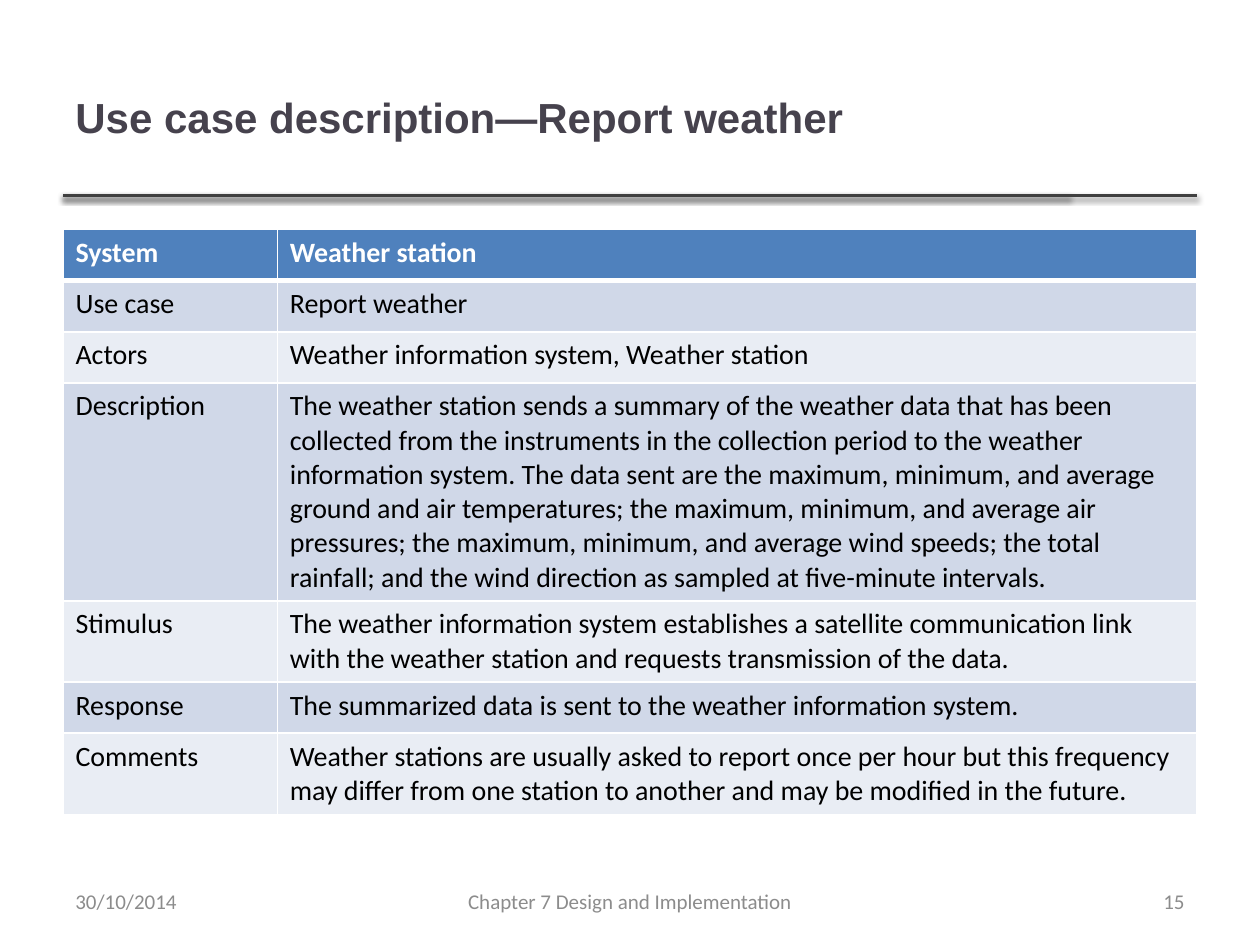
from dataclasses import dataclass

import pptx
import pptx.dml.color
import pptx.enum.shapes
import pptx.enum.text
import pptx.oxml
import pptx.oxml.ns
import pptx.util

Cm = pptx.util.Cm
Pt = pptx.util.Pt
RGBColor = pptx.dml.color.RGBColor
Align = pptx.enum.text.PP_ALIGN
Anchor = pptx.enum.text.MSO_ANCHOR

WHITE = RGBColor(0xFF, 0xFF, 0xFF)
BLACK = RGBColor(0, 0, 0)
TITLE_COLOR = RGBColor(0x46, 0x42, 0x4D)
RULE_COLOR = RGBColor(0x40, 0x40, 0x40)
FOOTER_COLOR = RGBColor(0x8C, 0x8C, 0x8C)
HEADER_FILL = RGBColor(0x4F, 0x81, 0xBD)
BAND_FILLS = (RGBColor(0xE9, 0xED, 0xF4), RGBColor(0xD0, 0xD8, 0xE8))

LEFT = 1.27
CONTENT_WIDTH = 22.86
ROW_HEIGHT = 1.03
COLUMN_WIDTHS = (4.32, 18.54)
FOOTER_TOP = 17.65
FOOTER_HEIGHT = 1.02
NS = pptx.oxml.ns.nsdecls("a")

ROWS = (
    ("System", "Weather station"),
    ("Use case", "Report weather"),
    ("Actors", "Weather information system, Weather station"),
    ("Description",
     "The weather station sends a summary of the weather data that has been "
     "collected from the instruments in the collection period to the weather "
     "information system. The data sent are the maximum, minimum, and average "
     "ground and air temperatures; the maximum, minimum, and average air "
     "pressures; the maximum, minimum, and average wind speeds; the total "
     "rainfall; and the wind direction as sampled at five-minute intervals."),
    ("Stimulus",
     "The weather information system establishes a satellite communication link "
     "with the weather station and requests transmission of the data."),
    ("Response", "The summarized data is sent to the weather information system."),
    ("Comments",
     "Weather stations are usually asked to report once per hour but this frequency "
     "may differ from one station to another and may be modified in the future."),
)


@dataclass(frozen=True)
class Style:
    font: str
    size: int
    color: RGBColor
    bold: bool = False


@dataclass(frozen=True)
class Label:
    text: str
    left: float
    top: float
    width: float
    height: float
    style: Style
    align: Align = Align.LEFT


TITLE = Style("Arial", 24, TITLE_COLOR, True)
HEADER = Style("Calibri", 16, WHITE, True)
BODY = Style("Calibri", 16, BLACK)
FOOTER = Style("Calibri", 12, FOOTER_COLOR)

LABELS = (
    Label("Use case description—Report weather", LEFT, 0.76, 20.27, 3.18, TITLE),
    Label("Chapter 7 Design and Implementation", 8.68, FOOTER_TOP, 8.04,
          FOOTER_HEIGHT, FOOTER, Align.CENTER),
    Label("15", 18.2, FOOTER_TOP, 5.93, FOOTER_HEIGHT, FOOTER, Align.RIGHT),
    Label("30/10/2014", LEFT, FOOTER_TOP, 5.93, FOOTER_HEIGHT, FOOTER),
)


def set_text(tf, text: str, style: Style, align: Align = Align.LEFT) -> None:
    p = tf.paragraphs[0]
    p.text = text
    p.alignment = align
    p.font.name = style.font
    p.font.size = Pt(style.size)
    p.font.bold = style.bold
    p.font.color.rgb = style.color


def add_label(s, label: Label) -> None:
    sp = s.shapes.add_textbox(Cm(label.left), Cm(label.top),
                              Cm(label.width), Cm(label.height))
    tf = sp.text_frame
    tf.word_wrap = True
    tf.vertical_anchor = Anchor.MIDDLE
    set_text(tf, label.text, label.style, label.align)


def add_rule(s, right: float, y: float = 3.94) -> None:
    sp = s.shapes.add_connector(pptx.enum.shapes.MSO_CONNECTOR.STRAIGHT,
                                Cm(LEFT), Cm(y), Cm(right), Cm(y))
    sp.line.color.rgb = RULE_COLOR
    sp.line.width = Pt(2)
    sp._element.spPr.append(pptx.oxml.parse_xml(
        f'<a:effectLst {NS}><a:outerShdw blurRad="{Pt(3.1)}" dist="{Pt(1.6)}" '
        'dir="5400000" rotWithShape="0"><a:srgbClr val="000000">'
        '<a:alpha val="38000"/></a:srgbClr></a:outerShdw></a:effectLst>'))


def set_borders(cell, top: float, bottom: float) -> None:
    tc_pr = cell._tc.get_or_add_tcPr()
    widths = {"lnL": 1, "lnR": 1, "lnT": top, "lnB": bottom}
    for i, (tag, width) in enumerate(widths.items()):
        tc_pr.insert(i, pptx.oxml.parse_xml(
            f'<a:{tag} {NS} w="{Pt(width)}"><a:solidFill>'
            f'<a:srgbClr val="{WHITE}"/></a:solidFill></a:{tag}>'))


def add_use_case_table(s) -> None:
    table = s.shapes.add_table(len(ROWS), len(COLUMN_WIDTHS), Cm(LEFT), Cm(4.63),
                               Cm(CONTENT_WIDTH), Cm(ROW_HEIGHT * len(ROWS))).table
    for column, width in zip(table.columns, COLUMN_WIDTHS):
        column.width = Cm(width)
    for i, texts in enumerate(ROWS):
        table.rows[i].height = Cm(ROW_HEIGHT)
        for j, text in enumerate(texts):
            cell = table.cell(i, j)
            set_text(cell.text_frame, text, HEADER if i == 0 else BODY)
            cell.fill.solid()
            cell.fill.fore_color.rgb = HEADER_FILL if i == 0 else BAND_FILLS[i % 2]
            set_borders(cell, 3 if i == 1 else 1, 3 if i == 0 else 1)


def main() -> None:
    prs = pptx.Presentation()
    prs.slide_width, prs.slide_height = Cm(25.4), Cm(19.05)
    s = prs.slides.add_slide(prs.slide_layouts[6])
    for right in (21.56, LEFT + CONTENT_WIDTH):
        add_rule(s, right)
    add_use_case_table(s)
    for label in LABELS:
        add_label(s, label)
    prs.save("out.pptx")


if __name__ == "__main__":
    main()
